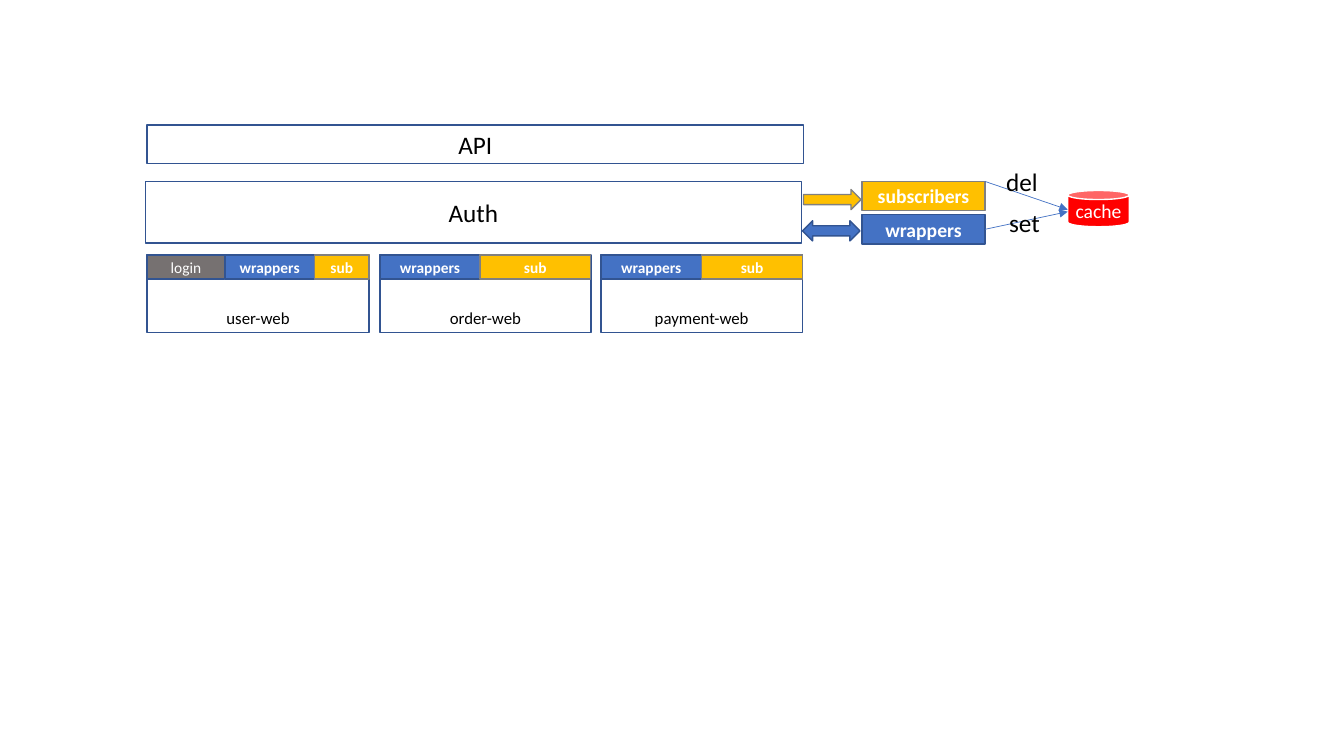
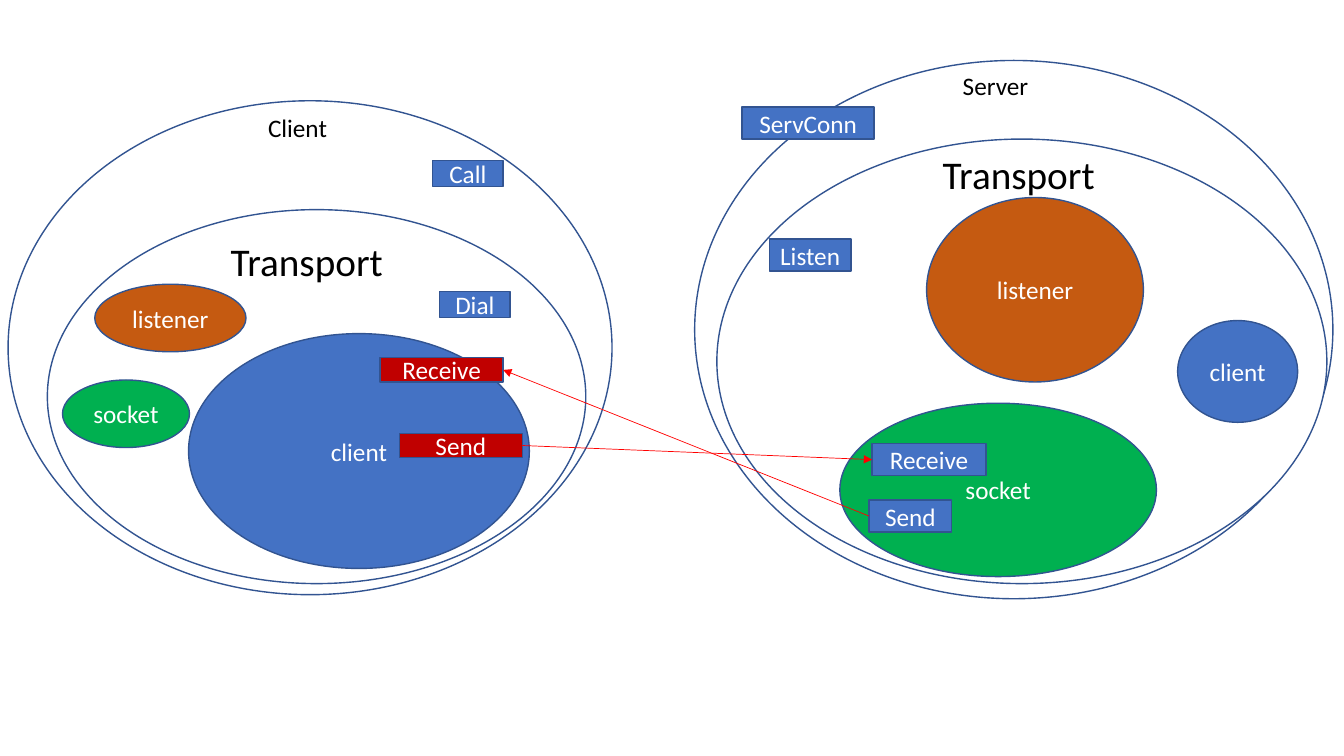
from pptx import Presentation
from pptx.dml.color import RGBColor
from pptx.enum.shapes import MSO_CONNECTOR as Connector, MSO_SHAPE as Shape
from pptx.enum.text import MSO_ANCHOR as Anchor, MSO_AUTO_SIZE as AutoSize, PP_ALIGN as Align
from pptx.oxml.ns import qn
from pptx.util import Emu, Pt
from lxml.etree import SubElement

EMU_PER_PX = 9144  # 100 px to the inch
FONT = "Calibri"
COLORS = {
    "white": "FFFFFF", "black": "000000", "navy": "325491", "blue": "4472C4",
    "amber": "FFC000", "gray": "808080", "slate": "767171", "red": "FF0000",
    "crimson": "C00000", "orange": "C55A11", "green": "00B050",
}
TOP, LEFT, BOTTOM, RIGHT = range(4)  # connection sites of a rectangle


def px(length):
    return Emu(length * EMU_PER_PX)


def color(name):
    return RGBColor.from_string(COLORS[name])


class Diagram:
    """Holds the style and the slide being drawn."""

    def __init__(self, presentation):
        self.presentation = presentation
        self.slide = None

    def new_slide(self):
        blank = self.presentation.slide_layouts[6]
        self.slide = self.presentation.slides.add_slide(blank)

    def set_text(self, shape, text, size, font_color, bold=False, align=Align.CENTER):
        shape.text_frame.text = text
        paragraph = shape.text_frame.paragraphs[0]
        paragraph.alignment = align
        for run in paragraph.runs:
            run.font.name = FONT
            run.font.size = Pt(size)
            run.font.bold = bold
            run.font.color.rgb = color(font_color)

    def shape(self, kind, box, fill="white", text="", size=18, bold=False,
              line="navy", anchor=Anchor.MIDDLE):
        shape = self.slide.shapes.add_shape(kind, *map(px, box))
        shape.shadow.inherit = False
        shape.fill.solid()
        shape.fill.fore_color.rgb = color(fill)
        shape.line.color.rgb = color(line)
        shape.line.width = Pt(1)
        if text:
            frame = shape.text_frame
            frame.margin_left = frame.margin_right = 0
            frame.vertical_anchor = anchor
            self.set_text(shape, text, size, "black" if fill == "white" else "white", bold)
        return shape

    def box(self, *args, **style):
        return self.shape(Shape.RECTANGLE, *args, **style)

    def oval(self, *args, **style):
        return self.shape(Shape.OVAL, *args, **style)

    def label(self, box, text, size=18, wrap=True):
        label = self.slide.shapes.add_textbox(*map(px, box))
        label.text_frame.word_wrap = wrap
        label.text_frame.auto_size = AutoSize.SHAPE_TO_FIT_TEXT
        self.set_text(label, text, size, "black", align=Align.LEFT)

    def arrow(self, start, end, line):
        """Each end is a point (x, y) or a rectangle with its site."""
        connector = self.slide.shapes.add_connector(Connector.STRAIGHT, 0, 0, 0, 0)
        if isinstance(start[0], int):
            connector.begin_x, connector.begin_y = map(px, start)
        else:
            connector.begin_connect(*start)
        if isinstance(end[0], int):
            connector.end_x, connector.end_y = map(px, end)
        else:
            connector.end_connect(*end)
        connector.line.color.rgb = color(line)
        connector.line.width = Pt(0.5)
        SubElement(connector.get_or_add_ln(), qn("a:tailEnd"), type="triangle")
        SubElement(connector._element.spPr, qn("a:effectLst"))


def draw_auth(diagram):
    diagram.new_slide()

    # Layers
    diagram.box((146, 124, 651, 38), text="API")
    diagram.box((144, 180, 651, 61), text="Auth")

    # Services, each with a header row of modules
    modules = {"login": ("slate", "navy", False), "wrappers": ("blue", "navy", True),
               "sub": ("amber", "gray", True)}
    services = [
        ("user-web", 146, [("login", 77), ("wrappers", 89), ("sub", 54)]),
        ("order-web", 377, [("wrappers", 99), ("sub", 110)]),
        ("payment-web", 596, [("wrappers", 100), ("sub", 100)]),
    ]
    for service, left, headers in services:
        total = sum(width for _, width in headers)
        diagram.box((left, 253, total, 77), text=service, size=12, anchor=Anchor.BOTTOM)
        for module, width in headers:
            fill, line, bold = modules[module]
            diagram.box((left, 253, width, 24), fill, module, 11, bold, line)
            left += width

    # Links from Auth to its helpers
    diagram.box((855, 180, 122, 29), "amber", "subscribers", 14, True, "gray")
    wrappers = diagram.box((855, 213, 122, 29), "blue", "wrappers", 14, True)
    diagram.shape(Shape.RIGHT_ARROW, (797, 188, 57, 20), "amber", line="gray")
    diagram.shape(Shape.LEFT_RIGHT_ARROW, (796, 219, 57, 20), "blue")

    # Store
    diagram.shape(Shape.CAN, (1059, 189, 61, 36), "red", "cache", 14, line="white")
    diagram.arrow((wrappers, RIGHT), (1059, 210), "blue")
    diagram.arrow((977, 180), (1059, 208), "blue")
    diagram.label((988, 160, 52, 40), "del", wrap=False)
    diagram.label((991, 201, 51, 40), "set", wrap=False)


def draw_transport(diagram):
    diagram.new_slide()

    # Server
    diagram.oval((689, 60, 633, 534))
    diagram.oval((711, 138, 605, 441))
    diagram.label((945, 65, 118, 40), "Server")
    diagram.label((925, 144, 209, 57), "Transport", 28)
    diagram.oval((919, 196, 215, 183), "orange", "listener")
    diagram.oval((833, 400, 314, 172), "green", "socket")
    diagram.oval((1168, 318, 119, 101), "blue", "client")
    diagram.box((736, 106, 131, 32), "blue", "ServConn")
    diagram.box((763, 237, 81, 32), "blue", "Listen")
    server_receive = diagram.box((865, 440, 113, 32), "blue", "Receive")
    server_send = diagram.box((862, 496, 82, 32), "blue", "Send")

    # Client
    diagram.oval((8, 100, 599, 490))
    diagram.oval((47, 208, 534, 371))
    diagram.label((256, 107, 155, 40), "Client")
    diagram.label((219, 231, 184, 57), "Transport", 28)
    diagram.oval((187, 331, 338, 233), "blue", "client")
    diagram.oval((94, 282, 150, 67), "orange", "listener")
    diagram.oval((62, 377, 126, 67), "green", "socket")
    diagram.box((429, 159, 70, 26), "blue", "Call")
    diagram.box((436, 289, 70, 26), "blue", "Dial")
    client_receive = diagram.box((377, 355, 122, 24), "crimson", "Receive")
    client_send = diagram.box((396, 430, 122, 24), "crimson", "Send")

    # Messages
    diagram.arrow((client_send, RIGHT), (server_receive, LEFT), "red")
    diagram.arrow((server_send, LEFT), (client_receive, RIGHT), "red")


def main():
    presentation = Presentation()
    presentation.slide_width, presentation.slide_height = px(1333), px(750)
    diagram = Diagram(presentation)
    draw_auth(diagram)
    draw_transport(diagram)
    presentation.save("out.pptx")


if __name__ == "__main__":
    main()
